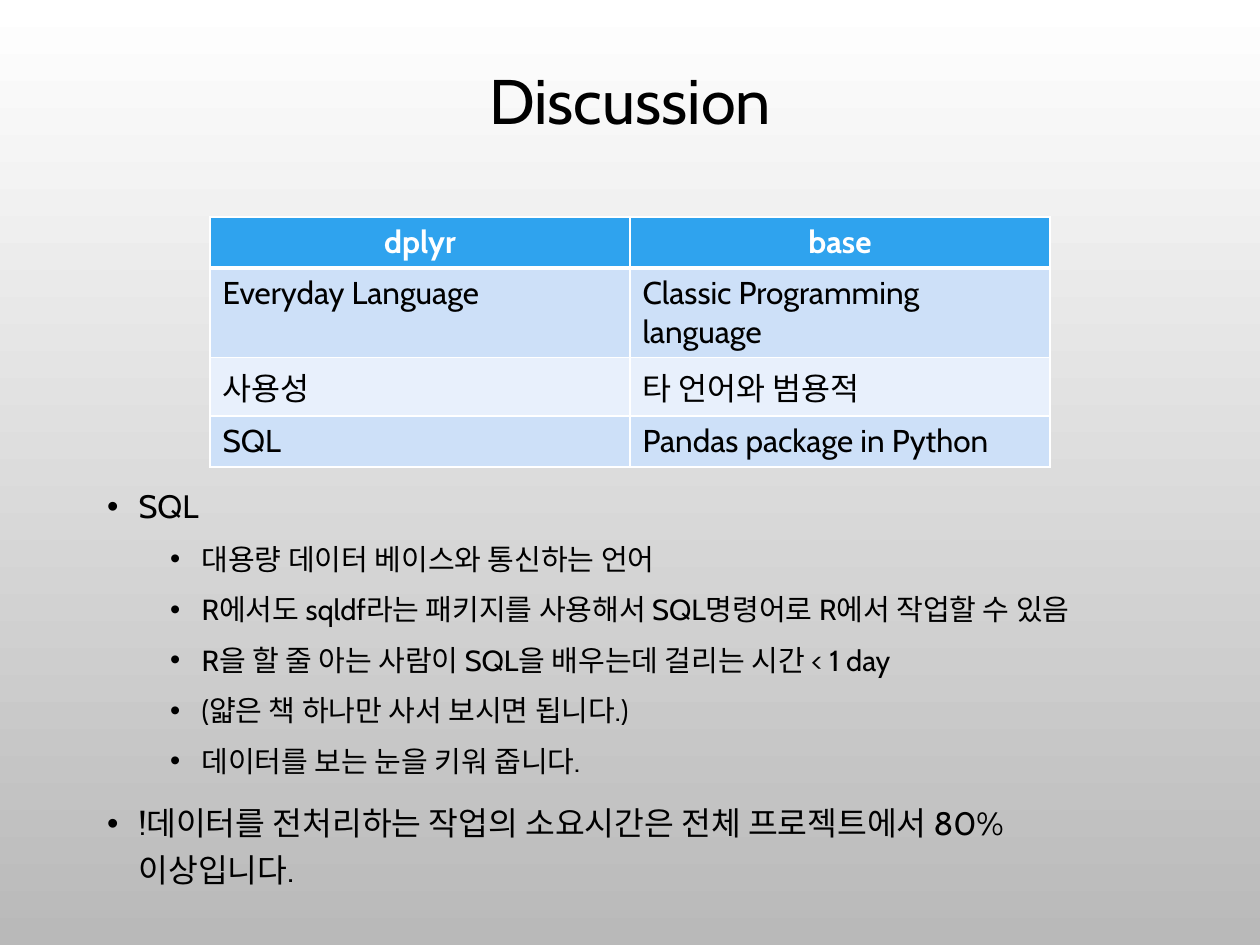
from dataclasses import dataclass

from lxml.etree import SubElement
from pptx import Presentation
from pptx.dml.color import RGBColor as Color
from pptx.enum.text import MSO_ANCHOR as Anchor, MSO_AUTO_SIZE as AutoSize, PP_ALIGN as Align
from pptx.oxml.ns import qn
from pptx.util import Pt

FONT = "Cabin"
COLORS = {
    "text": "000000",
    "white": "FFFFFF",
    "shade": "B9B9B9",
    "header": "2FA3EE",
    "odd_row": "CDE0F8",
    "even_row": "E8F0FC",
}


@dataclass
class Box:
    left: float
    top: float
    width: float
    height: float


@dataclass
class Level:
    size: float
    margin: float
    space_before: float


@dataclass
class Bullet:
    text: str
    level: int = 1


TITLE_BOX = Box(54, 32.4, 612, 54)
BODY_BOX = Box(54, 270, 612, 248.4)
TABLE_BOX = Box(120, 124, 480, 116.8)
LEVELS = [Level(18.5, 18, 10), Level(16.6, 54, 5)]
BULLETS = [
    Bullet("SQL", 0),
    Bullet("대용량 데이터 베이스와 통신하는 언어"),
    Bullet("R에서도 sqldf라는 패키지를 사용해서 SQL명령어로 R에서 작업할 수 있음"),
    Bullet("R을 할 줄 아는 사람이 SQL을 배우는데 걸리는 시간 < 1 day"),
    Bullet("(얇은 책 하나만 사서 보시면 됩니다.)"),
    Bullet("데이터를 보는 눈을 키워 줍니다."),
    Bullet("!데이터를 전처리하는 작업의 소요시간은 전체 프로젝트에서 80% 이상입니다.", 0),
]
ROWS = [
    ("dplyr", "base"),
    ("Everyday Language", "Classic Programming language"),
    ("사용성", "타 언어와 범용적"),
    ("SQL", "Pandas package in Python"),
]


def color(name: str) -> Color:
    return Color.from_string(COLORS[name])


def set_font(paragraph, size: float, color_name: str = "text", bold: bool = False) -> None:
    font = paragraph.font
    font.name, font.size, font.bold = FONT, Pt(size), bold
    font.color.rgb = color(color_name)


def place(shape, box: Box) -> None:
    shape.left, shape.top = Pt(box.left), Pt(box.top)
    shape.width, shape.height = Pt(box.width), Pt(box.height)


def paint_background(slide) -> None:
    fill = slide.background.fill
    fill.gradient()
    fill.gradient_angle = 270
    for stop, position, name in zip(fill.gradient_stops, (0, 1), ("white", "shade")):
        stop.position = position
        stop.color.rgb = color(name)


def fill_title(shape) -> None:
    place(shape, TITLE_BOX)
    frame = shape.text_frame
    frame.text = "Discussion"
    frame.auto_size = AutoSize.NONE
    frame.vertical_anchor = Anchor.MIDDLE
    paragraph = frame.paragraphs[0]
    paragraph.alignment = Align.CENTER
    paragraph.line_spacing = 0.9
    set_font(paragraph, 36)


def add_bullet_mark(paragraph, margin: float) -> None:
    properties = paragraph._p.get_or_add_pPr()
    properties.set("marL", str(Pt(margin)))
    properties.set("indent", str(Pt(-18)))
    bullet_color = SubElement(properties, qn("a:buClr"))
    SubElement(bullet_color, qn("a:srgbClr"), val=COLORS["text"])
    SubElement(properties, qn("a:buFont"), typeface="Arial")
    SubElement(properties, qn("a:buChar"), char="•")


def fill_body(shape) -> None:
    place(shape, BODY_BOX)
    frame = shape.text_frame
    frame.text = "\n".join(bullet.text for bullet in BULLETS)
    frame.auto_size = AutoSize.NONE
    for index, (paragraph, bullet) in enumerate(zip(frame.paragraphs, BULLETS)):
        level = LEVELS[bullet.level]
        paragraph.level = bullet.level
        add_bullet_mark(paragraph, level.margin)
        paragraph.line_spacing = 1.2
        paragraph.space_before = Pt(level.space_before if index else 0)
        set_font(paragraph, level.size)


def set_borders(cell, top: float, bottom: float) -> None:
    properties = cell._tc.get_or_add_tcPr()
    widths = {"a:lnL": 1, "a:lnR": 1, "a:lnT": top, "a:lnB": bottom}
    for tag, width in widths.items():
        line = SubElement(properties, qn(tag), w=str(Pt(width)))
        fill = SubElement(line, qn("a:solidFill"))
        SubElement(fill, qn("a:srgbClr"), val=COLORS["white"])


def add_comparison_table(slide) -> None:
    box = TABLE_BOX
    frame = slide.shapes.add_table(
        len(ROWS), len(ROWS[0]), Pt(box.left), Pt(box.top), Pt(box.width), Pt(box.height)
    )
    for row_index, row in enumerate(ROWS):
        is_header = row_index == 0
        fill_name = "header" if is_header else "odd_row" if row_index % 2 else "even_row"
        for column_index, text in enumerate(row):
            cell = frame.table.cell(row_index, column_index)
            cell.text = text
            set_borders(cell, 3 if row_index == 1 else 1, 3 if is_header else 1)
            cell.fill.solid()
            cell.fill.fore_color.rgb = color(fill_name)
            paragraph = cell.text_frame.paragraphs[0]
            paragraph.alignment = Align.CENTER if is_header else Align.LEFT
            set_font(paragraph, 18, "white" if is_header else "text", is_header)


def main() -> None:
    presentation = Presentation()
    presentation.slide_width, presentation.slide_height = Pt(720), Pt(540)
    slide = presentation.slides.add_slide(presentation.slide_layouts[1])
    paint_background(slide)
    fill_title(slide.shapes.title)
    fill_body(slide.placeholders[1])
    add_comparison_table(slide)
    presentation.save("out.pptx")


if __name__ == "__main__":
    main()
